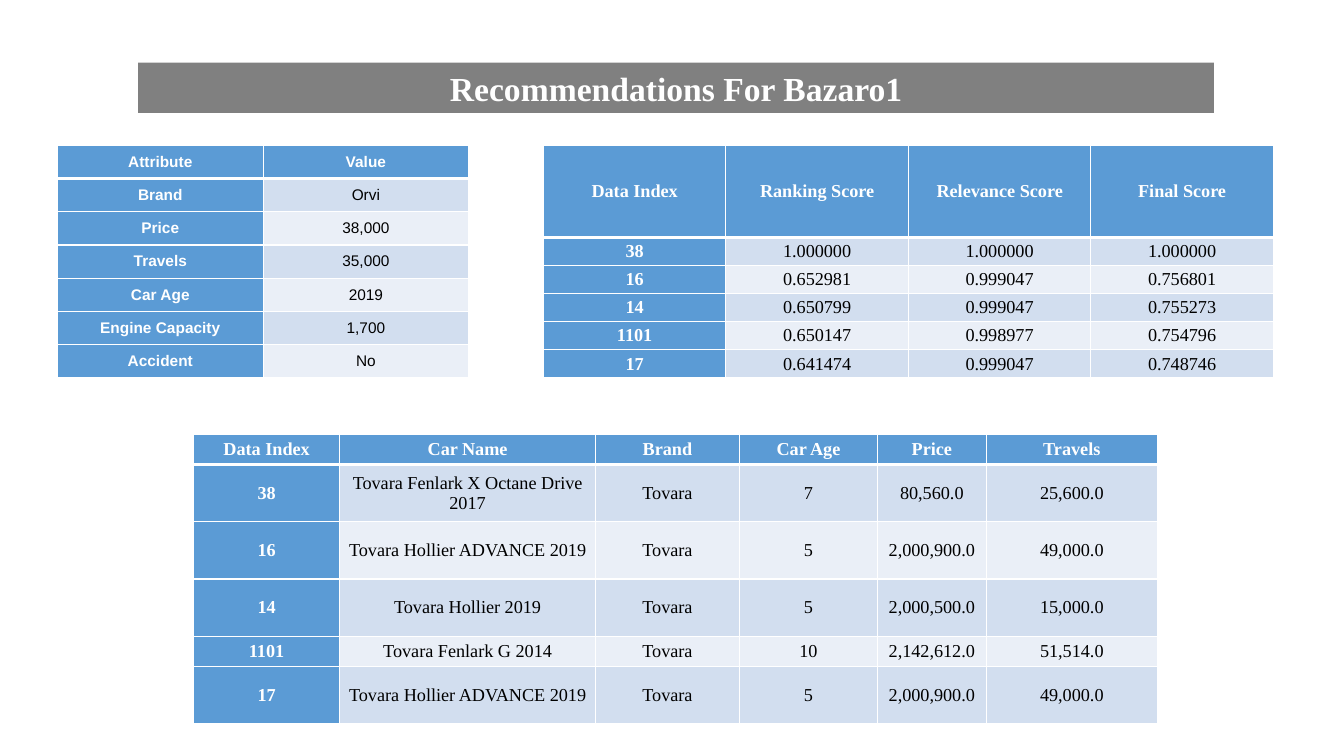
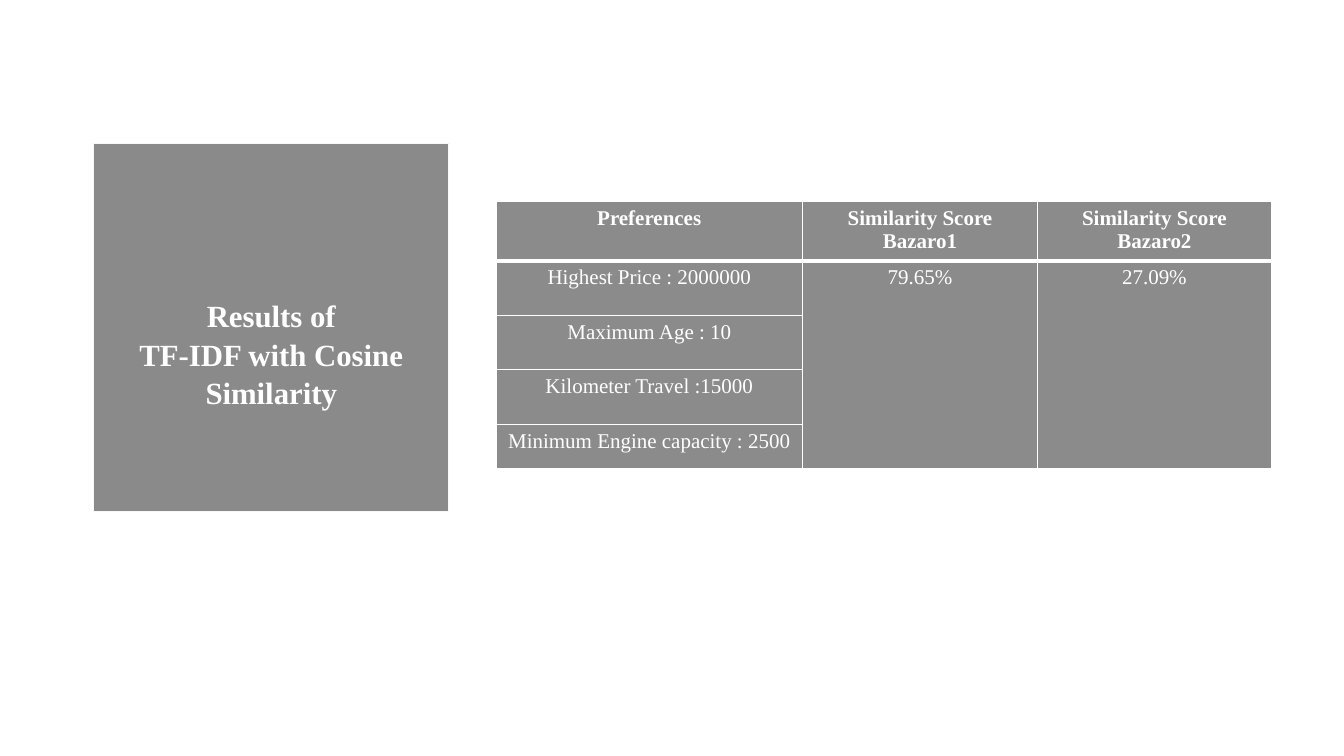
from lxml import etree
from pptx import Presentation
from pptx import util as u
from pptx.dml import color as dml
from pptx.enum import text
from pptx.oxml import ns

WIDE, HIGH = u.Inches(13.33), u.Inches(7.5)
SERIF, SANS = "Times New Roman", "Arial"
WHITE, BLACK = "FFFFFF", "000000"
BLUE, PALE, LIGHT = "5B9BD5", "D2DEEF", "EAEFF7"
GRAY, SLATE, EDGE = "808080", "7F7F7F", "F6F9FC"
TOP, MID = text.MSO_ANCHOR.TOP, text.MSO_ANCHOR.MIDDLE


def hue(code):
    return dml.RGBColor.from_string(code)


def place(box):
    left, top, wide, high = box
    return [int(full * part / 100) for full, part in
            ((WIDE, left), (HIGH, top), (WIDE, wide), (HIGH, high))]


def paint(item, code, alpha=100):
    item.fill.solid()
    item.fill.fore_color.rgb = hue(code)
    if alpha < 100:
        props = item._tc.tcPr if hasattr(item, "_tc") else item._element.spPr
        tint = props.find(ns.qn("a:solidFill"))[0]
        etree.SubElement(tint, ns.qn("a:alpha"), val=str(alpha * 1000))


def style(frame, size, font, code, bold):
    for para in frame.paragraphs:
        para.alignment = text.PP_ALIGN.CENTER
        for run in para.runs:
            run.font.size = u.Pt(size)
            run.font.name = font
            run.font.bold = bold
            run.font.color.rgb = hue(code)


def edge(cell, above, below):
    sides = (("lnL", 1), ("lnR", 1), ("lnT", above), ("lnB", below))
    for spot, (side, width) in enumerate(sides):
        line = etree.Element(ns.qn("a:" + side), w=str(u.Pt(width)))
        fill = etree.SubElement(line, ns.qn("a:solidFill"))
        etree.SubElement(fill, ns.qn("a:srgbClr"), val=WHITE)
        cell._tc.tcPr.insert(spot, line)


def title(slide, box, words, size, code, alpha=100, inset=0.05):
    band = slide.shapes.title
    band.left, band.top, band.width, band.height = place(box)
    paint(band, code, alpha)
    frame = band.text_frame
    frame.text = words
    frame.word_wrap = True
    frame.auto_size = text.MSO_AUTO_SIZE.NONE
    frame.vertical_anchor = MID
    frame.margin_top = u.Inches(inset)
    style(frame, size, SERIF, WHITE, True)
    return band


def striped(row, col):
    if row == 0 or col == 0:
        return BLUE, 100, WHITE, True
    return (PALE if row % 2 else LIGHT), 100, BLACK, False


def plain(row, col):
    return GRAY, 91, WHITE, row == 0


def grid(slide, box, cols, rows, data, look, size, font=SERIF,
         anchor=MID, inset=0.01):
    left, top, wide, high = place(box)
    table = slide.shapes.add_table(
        len(rows), len(cols), left, top, wide, high).table
    table.first_row = table.horz_banding = False
    for col, part in zip(table.columns, cols):
        col.width = int(wide * part / sum(cols))
    for row, part in zip(table.rows, rows):
        row.height = int(high * part / sum(rows))
    for r, line in enumerate(data):
        for c in range(len(cols)):
            cell = table.cell(r, c)
            fill, alpha, ink, bold = look(r, c)
            paint(cell, fill, alpha)
            edge(cell, 3 if r == 1 else 1, 3 if r == 0 else 1)
            cell.vertical_anchor = anchor
            if inset is not None:
                cell.margin_left = cell.margin_right = u.Inches(inset)
                cell.margin_top = cell.margin_bottom = u.Inches(inset)
            if c < len(line):
                cell.text_frame.text = line[c]
                style(cell.text_frame, size, font, ink, bold)
    return table


def advice(slide):
    title(slide, (10.28, 8.27, 80.05, 6.67),
          "Recommendations For Bazaro1", 24, GRAY)
    grid(slide, (4.28, 19.2, 30.6, 30.8), [1] * 2, [1] * 7, [
        ("Attribute", "Value"),
        ("Brand", "Orvi"),
        ("Price", "38,000"),
        ("Travels", "35,000"),
        ("Car Age", "2019"),
        ("Engine Capacity", "1,700"),
        ("Accident", "No"),
    ], striped, 11, SANS)
    grid(slide, (40.43, 19.2, 54.31, 30.8), [1] * 4, [92] + [28] * 5, [
        ("Data Index", "Ranking Score", "Relevance Score", "Final Score"),
        ("38", "1.000000", "1.000000", "1.000000"),
        ("16", "0.652981", "0.999047", "0.756801"),
        ("14", "0.650799", "0.999047", "0.755273"),
        ("1101", "0.650147", "0.998977", "0.754796"),
        ("17", "0.641474", "0.999047", "0.748746"),
    ], striped, 13)
    grid(slide, (14.4, 57.47, 71.72, 38.27),
         [145, 254, 143, 137, 108, 170], [30, 57, 57, 57, 30, 57], [
        ("Data Index", "Car Name", "Brand", "Car Age", "Price", "Travels"),
        ("38", "Tovara Fenlark X Octane Drive 2017", "Tovara", "7",
         "80,560.0", "25,600.0"),
        ("16", "Tovara Hollier ADVANCE 2019", "Tovara", "5",
         "2,000,900.0", "49,000.0"),
        ("14", "Tovara Hollier 2019", "Tovara", "5",
         "2,000,500.0", "15,000.0"),
        ("1101", "Tovara Fenlark G 2014", "Tovara", "10",
         "2,142,612.0", "51,514.0"),
        ("17", "Tovara Hollier ADVANCE 2019", "Tovara", "5",
         "2,000,900.0", "49,000.0"),
    ], striped, 13)


def results(slide):
    panel = title(slide, (6.98, 18.93, 26.41, 48.67),
                  "Results of\nTF-IDF with Cosine Similarity",
                  22, SLATE, 91, 0.56)
    panel.line.color.rgb = hue(EDGE)
    panel.line.width = u.Pt(0.75)
    for para in panel.text_frame.paragraphs:
        para.line_spacing = 1.05
    table = grid(slide, (36.91, 26.67, 57.69, 35.33),
                 [304, 233, 232], [59, 54, 54, 54, 44], [
        ("Preferences", "Similarity Score Bazaro1",
         "Similarity Score Bazaro2"),
        ("Highest Price : 2000000", "79.65%", "27.09%"),
        ("Maximum Age : 10",),
        ("Kilometer Travel :15000",),
        ("Minimum Engine capacity : 2500",),
    ], plain, 15, anchor=TOP, inset=None)
    for col in (1, 2):
        table.cell(1, col).merge(table.cell(4, col))


def main():
    deck = Presentation()
    deck.slide_width, deck.slide_height = WIDE, HIGH
    for build in (advice, results):
        build(deck.slides.add_slide(deck.slide_layouts[5]))
    deck.save("out.pptx")


if __name__ == "__main__":
    main()
